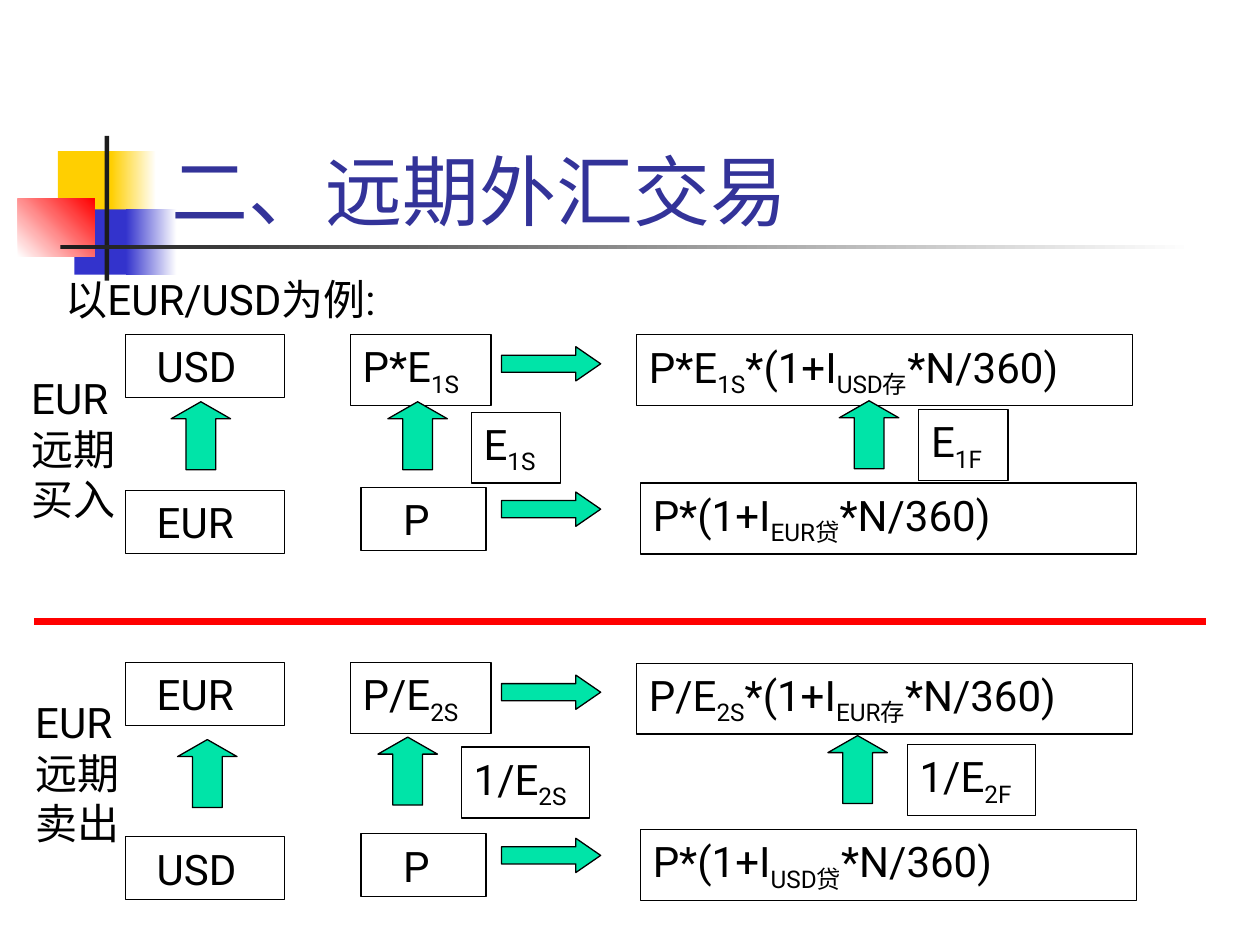
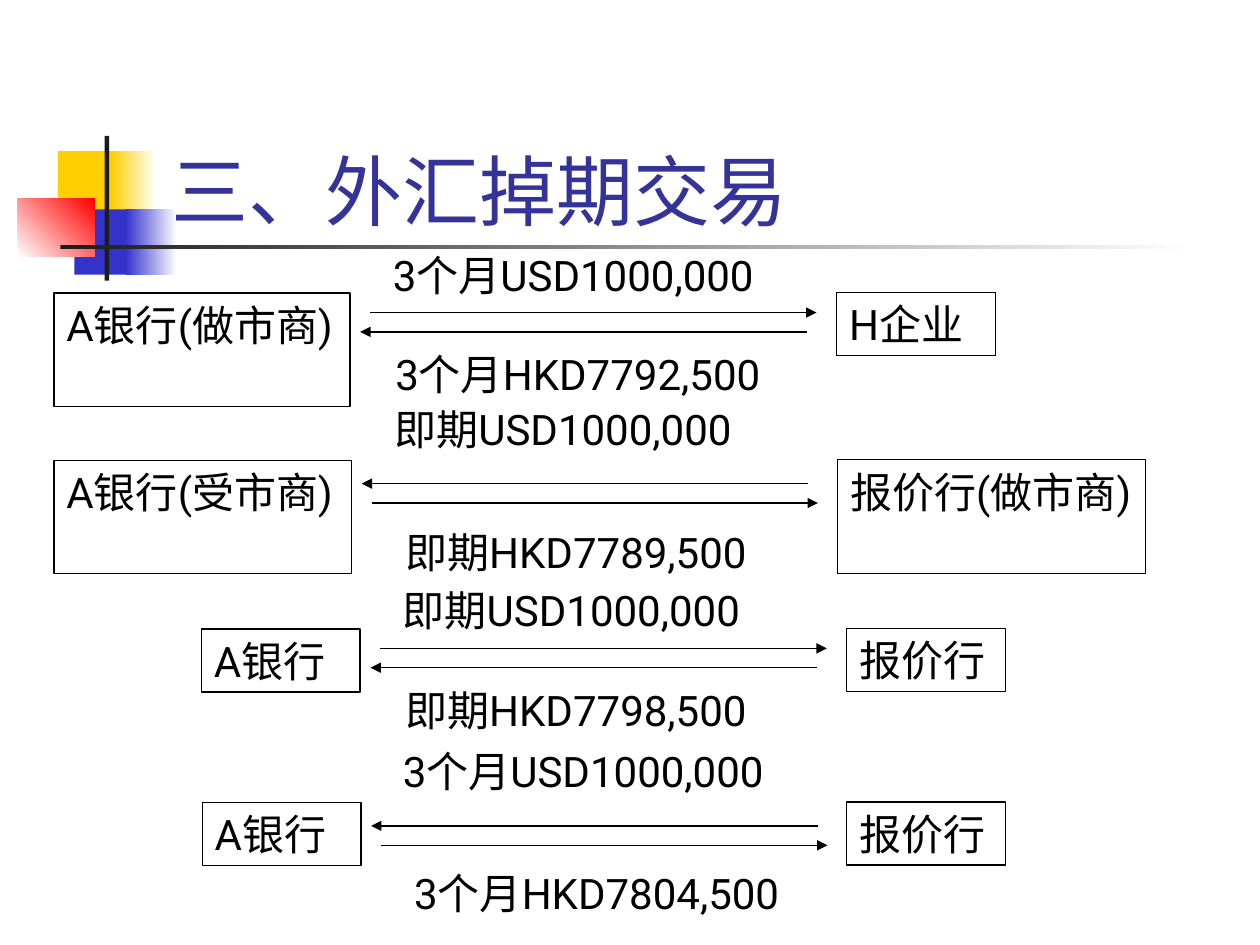
import dataclasses

import lxml.etree
import pptx
import pptx.dml.color
import pptx.enum.shapes
import pptx.enum.text
import pptx.oxml.ns
import pptx.shapes.autoshape
import pptx.slide
import pptx.util

Cm = pptx.util.Cm
Pt = pptx.util.Pt
ShapeKind = pptx.enum.shapes.MSO_SHAPE
Anchor = pptx.enum.text.MSO_ANCHOR

FONT = "Roboto"
BLACK = "000000"
WHITE = "FFFFFF"
YELLOW = "FFCF01"
BLUE = "3333CC"
RED = "FF0000"
CHARCOAL = "1C1C1C"
TITLE_BLUE = "333399"
ARROW_GREEN = "00E4A8"

LINE_HEIGHT = 1.27
FORMULA_HEIGHT = 1.43
TWO_LINE_HEIGHT = 2.29
NODE_WIDTH = 3.2


@dataclasses.dataclass(frozen=True)
class Box:
    left: float
    top: float
    width: float
    height: float


@dataclasses.dataclass(frozen=True)
class Accent:
    box: Box
    color: str
    fade_to: str = ""
    angle: float = 0


@dataclasses.dataclass(frozen=True)
class ForwardDeal:
    label: str
    label_box: Box
    top: float
    bottom: float
    received: str
    paid: str
    spot_amount: str
    deposit: str
    loan: str
    up_arrows: tuple[tuple[float, float], ...]
    rates: tuple[tuple[str, float, float], ...]
    rate_width: float


@dataclasses.dataclass(frozen=True)
class SwapLeg:
    left_party: str
    left_box: Box
    right_party: str
    right_box: Box
    line_left: float
    line_top: float
    rightward_first: bool
    captions: tuple[tuple[str, float, float], ...]


ACCENTS = (
    Accent(Box(1.17, 3.05, 1.22, 1.32), YELLOW),
    Accent(Box(2.24, 3.05, 0.91, 1.32), YELLOW, WHITE),
    Accent(Box(1.5, 4.22, 1.17, 1.32), BLUE),
    Accent(Box(2.54, 4.22, 1.02, 1.32), BLUE, WHITE),
    Accent(Box(0.36, 4.01, 1.55, 1.17), WHITE, RED, 45),
    Accent(Box(2.11, 2.74, 0.09, 2.92), CHARCOAL),
    Accent(Box(1.22, 4.94, 22.86, 0.09), CHARCOAL, WHITE),
)

FORWARD_DEALS = (
    ForwardDeal(
        "EUR远期买入", Box(0.38, 7.39, 2.39, 3.3), 6.74, 9.83,
        "USD", "EUR", "P*E|1S",
        "P*E|1S|*(1+I|USD存|*N/360)", "P*(1+I|EUR贷|*N/360)",
        ((3.45, 8.1), (7.82, 8.1), (16.92, 8.08)),
        (("E|1S", 9.5, 8.31), ("E|1F", 18.52, 8.26)), 1.8,
    ),
    ForwardDeal(
        "EUR远期卖出", Box(0.46, 13.92, 2.39, 3.3), 13.36, 16.81,
        "EUR", "USD", "P/E|2S",
        "P/E|2S|*(1+I|EUR存|*N/360)", "P*(1+I|USD贷|*N/360)",
        ((3.58, 14.91), (7.62, 14.86), (16.69, 14.83)),
        (("1/E|2S", 9.3, 15.06), ("1/E|2F", 18.29, 15.01)), 2.59,
    ),
)

SWAP_LEGS = (
    SwapLeg(
        "A银行(做市商)", Box(1.09, 5.91, 5.97, TWO_LINE_HEIGHT),
        "H企业", Box(16.87, 5.9, NODE_WIDTH, LINE_HEIGHT),
        7.26, 6.3, True,
        (("3个月USD1000,000", 7.67, 4.9), ("3个月HKD7792,500", 7.72, 6.91)),
    ),
    SwapLeg(
        "A银行(受市商)", Box(1.09, 9.28, 6, TWO_LINE_HEIGHT),
        "报价行(做市商)", Box(16.89, 9.27, 6.2, TWO_LINE_HEIGHT),
        7.29, 9.75, False,
        (("即期USD1000,000", 7.7, 8), ("即期HKD7789,500", 7.92, 10.49)),
    ),
    SwapLeg(
        "A银行", Box(4.06, 12.68, NODE_WIDTH, LINE_HEIGHT),
        "报价行", Box(17.07, 12.67, NODE_WIDTH, LINE_HEIGHT),
        7.47, 13.07, True,
        (("即期USD1000,000", 7.87, 11.66), ("即期HKD7798,500", 7.92, 13.67)),
    ),
    SwapLeg(
        "A银行", Box(4.08, 16.18, NODE_WIDTH, LINE_HEIGHT),
        "报价行", Box(17.07, 16.17, NODE_WIDTH, LINE_HEIGHT),
        7.48, 16.65, False,
        (("3个月USD1000,000", 7.87, 14.91), ("3个月HKD7804,500", 8.1, 17.37)),
    ),
)


def rgb(color: str) -> pptx.dml.color.RGBColor:
    return pptx.dml.color.RGBColor.from_string(color)


def place(box: Box) -> tuple[pptx.util.Length, ...]:
    return Cm(box.left), Cm(box.top), Cm(box.width), Cm(box.height)


def write_text(
    shape: pptx.shapes.autoshape.Shape,
    text: str,
    *,
    size: float = 24,
    color: str = BLACK,
    anchor: Anchor = Anchor.TOP,
    margin_left: float = 0.25,
) -> None:
    frame = shape.text_frame
    frame.word_wrap = True
    frame.vertical_anchor = anchor
    frame.margin_left = Cm(margin_left)
    paragraph = frame.paragraphs[0]
    paragraph.alignment = pptx.enum.text.PP_ALIGN.LEFT
    for position, part in enumerate(text.split("|")):
        run = paragraph.add_run()
        run.text = part
        run.font.name = FONT
        run.font.size = Pt(size)
        run.font.color.rgb = rgb(color)
        if position % 2:
            run.font._element.set("baseline", "-25000")


def add_text(slide: pptx.slide.Slide, box: Box, text: str, **text_format) -> None:
    write_text(slide.shapes.add_textbox(*place(box)), text, **text_format)


def add_preset(
    slide: pptx.slide.Slide, kind: ShapeKind, box: Box, fill: str = "", outline: str = ""
) -> pptx.shapes.autoshape.Shape:
    shape = slide.shapes.add_shape(kind, *place(box))
    shape.shadow.inherit = False
    if fill:
        shape.fill.solid()
        shape.fill.fore_color.rgb = rgb(fill)
    else:
        shape.fill.background()
    if outline:
        shape.line.color.rgb = rgb(outline)
        shape.line.width = Pt(0.75)
    else:
        shape.line.fill.background()
    return shape


def add_text_box(slide: pptx.slide.Slide, box: Box, text: str, **text_format) -> None:
    write_text(add_preset(slide, ShapeKind.RECTANGLE, box, outline=BLACK), text, **text_format)


def add_block_arrow(
    slide: pptx.slide.Slide, kind: ShapeKind, box: Box, head_length: float
) -> None:
    arrow = add_preset(slide, kind, box, ARROW_GREEN, BLACK)
    arrow.adjustments[0] = 0.5
    arrow.adjustments[1] = head_length


def add_line(
    slide: pptx.slide.Slide, start: float, end: float, top: float,
    color: str = BLACK, width: float = 0.75, arrow: bool = True,
) -> None:
    connector = slide.shapes.add_connector(
        pptx.enum.shapes.MSO_CONNECTOR.STRAIGHT, Cm(start), Cm(top), Cm(end), Cm(top)
    )
    connector.line.color.rgb = rgb(color)
    connector.line.width = Pt(width)
    if arrow:
        line = connector.line._get_or_add_ln()
        lxml.etree.SubElement(line, pptx.oxml.ns.qn("a:tailEnd"), type="triangle")
    lxml.etree.SubElement(connector._element.spPr, pptx.oxml.ns.qn("a:effectLst"))


def add_accent(slide: pptx.slide.Slide, accent: Accent) -> None:
    shape = add_preset(slide, ShapeKind.RECTANGLE, accent.box, accent.color)
    if accent.fade_to:
        shape.fill.gradient()
        shape.fill.gradient_angle = accent.angle
        for stop, position, color in zip(
            shape.fill.gradient_stops, (0, 1), (accent.color, accent.fade_to)
        ):
            stop.position = position
            stop.color.rgb = rgb(color)


def add_titled_slide(
    presentation: pptx.presentation.Presentation, title: str
) -> pptx.slide.Slide:
    slide = presentation.slides.add_slide(presentation.slide_layouts[6])
    for accent in ACCENTS:
        add_accent(slide, accent)
    add_text(
        slide, Box(3.2, 1.7, 21.64, 3.18), title,
        size=44, color=TITLE_BLUE, anchor=Anchor.BOTTOM,
    )
    return slide


def add_forward_deal(slide: pptx.slide.Slide, deal: ForwardDeal) -> None:
    top, bottom = deal.top, deal.bottom
    for currency, node_top in ((deal.received, top), (deal.paid, bottom + 0.06)):
        add_text_box(
            slide, Box(2.53, node_top, NODE_WIDTH, LINE_HEIGHT), currency, margin_left=0.63
        )
    add_text_box(slide, Box(7.06, top, 2.84, FORMULA_HEIGHT), deal.spot_amount)
    add_text_box(slide, Box(7.28, bottom, 2.52, LINE_HEIGHT), "P", margin_left=0.85)
    add_text_box(slide, Box(12.83, top + 0.01, 10, FORMULA_HEIGHT), deal.deposit)
    add_text_box(slide, Box(12.91, bottom - 0.09, 10, FORMULA_HEIGHT), deal.loan)
    for arrow_top in (top + 0.25, bottom + 0.09):
        add_block_arrow(slide, ShapeKind.RIGHT_ARROW, Box(10.11, arrow_top, 2, 0.69), 0.725)
    for arrow_left, arrow_top in deal.up_arrows:
        add_block_arrow(
            slide, ShapeKind.UP_ARROW, Box(arrow_left, arrow_top, 1.2, 1.37), 0.286
        )
    for rate, left, rate_top in deal.rates:
        add_text_box(slide, Box(left, rate_top, deal.rate_width, FORMULA_HEIGHT), rate)
    add_text(slide, deal.label_box, deal.label)


def add_swap_leg(slide: pptx.slide.Slide, leg: SwapLeg) -> None:
    add_text_box(slide, leg.left_box, leg.left_party)
    add_text_box(slide, leg.right_box, leg.right_party)
    rightward = (leg.line_left + 0.2, leg.line_left + 9.2)
    leftward = (leg.line_left + 9, leg.line_left)
    spans = (rightward, leftward) if leg.rightward_first else (leftward, rightward)
    for position, (start, end) in enumerate(spans):
        add_line(slide, start, end, leg.line_top + 0.39 * position)
    for caption, left, top in leg.captions:
        add_text(slide, Box(left, top, 8.61, LINE_HEIGHT), caption)


def main() -> None:
    presentation = pptx.Presentation()
    presentation.slide_width = Cm(25.4)
    presentation.slide_height = Cm(19.05)

    forward_slide = add_titled_slide(presentation, "二、远期外汇交易")
    add_text(forward_slide, Box(1.07, 5.38, 8.2, LINE_HEIGHT), "以EUR/USD为例:")
    add_line(forward_slide, 0.69, 24.31, 12.52, color=RED, width=4, arrow=False)
    for deal in FORWARD_DEALS:
        add_forward_deal(forward_slide, deal)

    swap_slide = add_titled_slide(presentation, "三、外汇掉期交易")
    for leg in SWAP_LEGS:
        add_swap_leg(swap_slide, leg)

    presentation.save("out.pptx")


if __name__ == "__main__":
    main()
